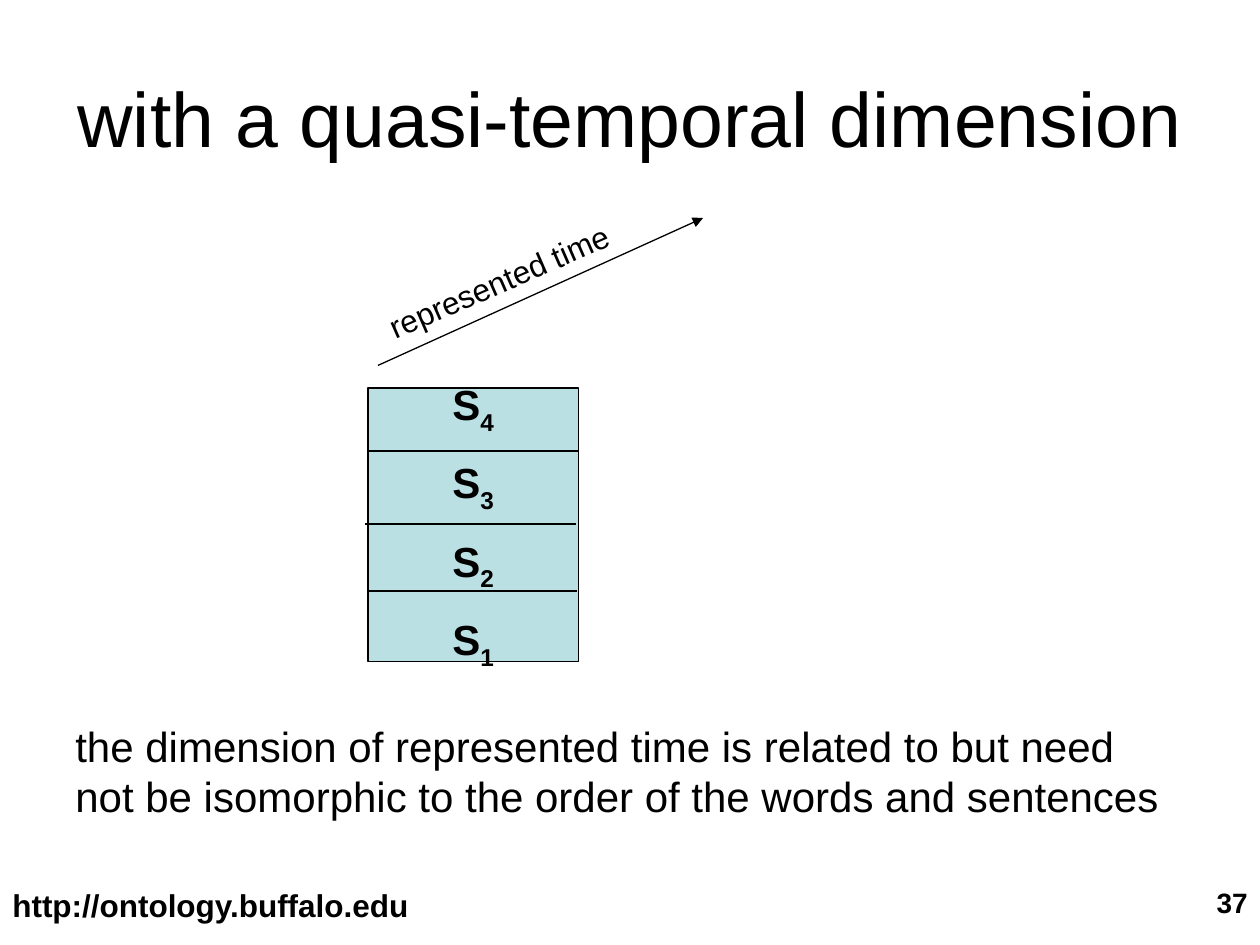
from lxml import etree
from pptx import Presentation
from pptx.dml.color import RGBColor
from pptx.enum.shapes import MSO_CONNECTOR, MSO_SHAPE
from pptx.enum.text import MSO_ANCHOR, PP_ALIGN
from pptx.oxml.ns import qn
from pptx.util import Inches, Pt

COLORS = {"ink": "000000", "stack": "BBE0E3"}


def color(name):
    return RGBColor.from_string(COLORS[name])


def add_run(paragraph, text, size, bold=False):
    run = paragraph.add_run()
    run.text = text
    formats = {"name": "Arial", "size": Pt(size), "bold": bold}
    for attribute, value in formats.items():
        setattr(run.font, attribute, value)
    run.font.color.rgb = color("ink")
    return run


def add_label(slide, box, text, size, bold=False, align=PP_ALIGN.LEFT,
              anchor=MSO_ANCHOR.TOP, rotation=0):
    label = slide.shapes.add_textbox(*map(Inches, box))
    label.rotation = rotation
    frame = label.text_frame
    frame.word_wrap = True
    frame.vertical_anchor = anchor
    paragraph = frame.paragraphs[0]
    paragraph.alignment = align
    add_run(paragraph, text, size, bold)


def add_line(slide, start, end, arrow=False):
    line = slide.shapes.add_connector(
        MSO_CONNECTOR.STRAIGHT, *map(Inches, (*start, *end)))
    line.line.color.rgb = color("ink")
    line.line.width = Pt(0.75)
    if arrow:
        etree.SubElement(line.line._get_or_add_ln(), qn("a:tailEnd"), type="triangle")
    etree.SubElement(line._element.spPr, qn("a:effectLst"))


def add_sentence_stack(slide, box):
    left, top, width, height = box
    stack = slide.shapes.add_shape(MSO_SHAPE.RECTANGLE, *map(Inches, box))
    stack.shadow.inherit = False
    stack.fill.solid()
    stack.fill.fore_color.rgb = color("stack")
    stack.line.color.rgb = color("ink")
    stack.line.width = Pt(0.75)

    frame = stack.text_frame
    frame.word_wrap = False
    frame.vertical_anchor = MSO_ANCHOR.MIDDLE
    for index, number in enumerate("4321"):
        paragraph = frame.add_paragraph() if index else frame.paragraphs[0]
        paragraph.alignment = PP_ALIGN.CENTER
        if index:
            paragraph.space_before = Pt(12)
        add_run(paragraph, "S", 24, bold=True)
        subscript = add_run(paragraph, number, 24, bold=True)
        subscript.font._element.set("baseline", "-25000")

    # Divider offsets from the top left corner of the stack
    for dx, dy in ((0, 0.5), (-0.02, 1.08), (-0.01, 1.61)):
        start = left + dx, top + dy
        add_line(slide, start, (start[0] + width, start[1]))


def add_time_axis(slide, box):
    left, top, width, height = box
    add_line(slide, (left, top + height), (left + width, top), arrow=True)
    add_label(slide, (left - 0.1, top + 0.2, width, 0.4),
              "represented time", 18, rotation=336.4)


def add_footer(slide, box):
    left, top, width, height = box
    number_width = 2.33
    add_label(slide, (left, top, 3.67, height),
              "http://ontology.buffalo.edu", 18, bold=True)
    add_label(slide, (left + width - number_width, top, number_width, height),
              "37", 16, bold=True, align=PP_ALIGN.RIGHT)


def main():
    deck = Presentation()
    deck.slide_width, deck.slide_height = Inches(10), Inches(7.5)
    slide = deck.slides.add_slide(deck.slide_layouts[6])

    add_footer(slide, (0, 6.98, 10, 0.52))
    add_label(slide, (0.5, 0.3, 9, 1.25), "with a quasi-temporal dimension", 44,
              align=PP_ALIGN.CENTER, anchor=MSO_ANCHOR.MIDDLE)
    add_sentence_stack(slide, (2.92, 3.08, 1.67, 2.17))
    add_time_axis(slide, (3, 1.73, 2.58, 1.17))
    add_label(slide, (0.5, 5.67, 8.83, 0.9),
              "the dimension of represented time is related to but need not be "
              "isomorphic to the order of the words and sentences", 24)

    deck.save("out.pptx")


if __name__ == "__main__":
    main()
